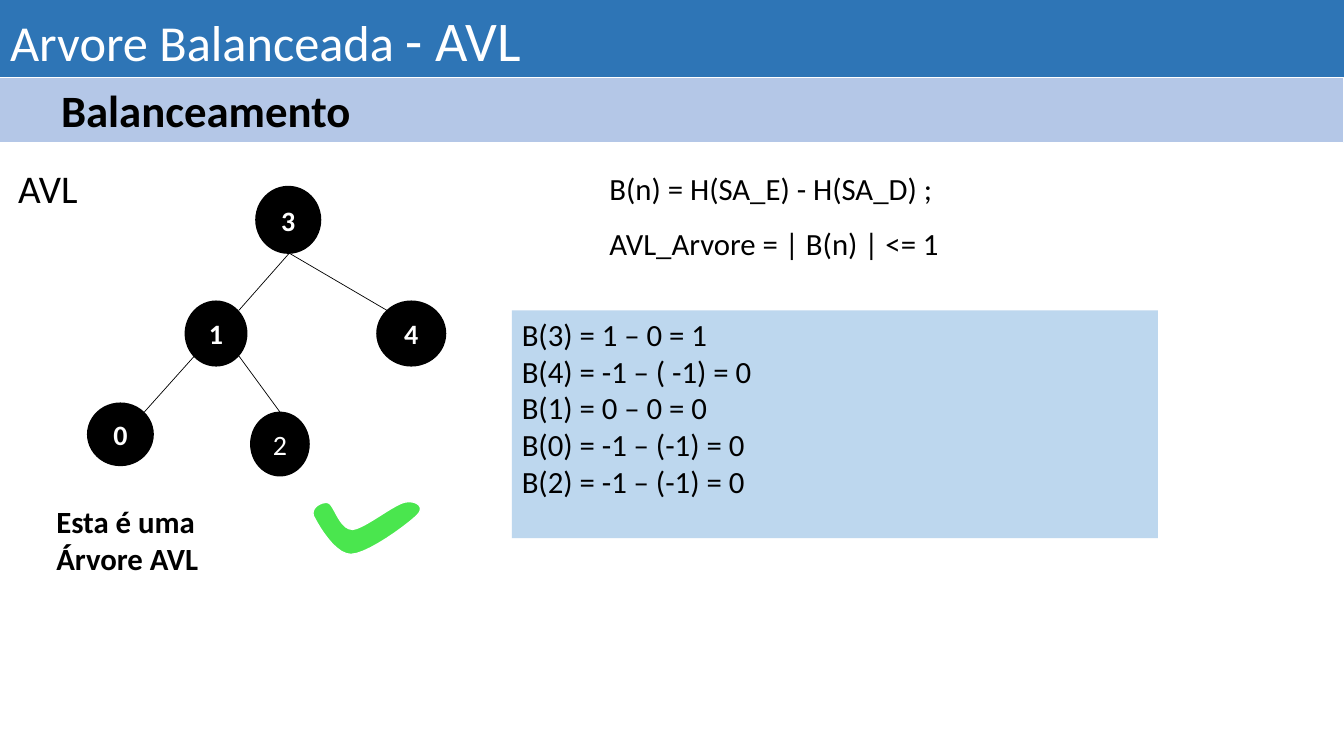
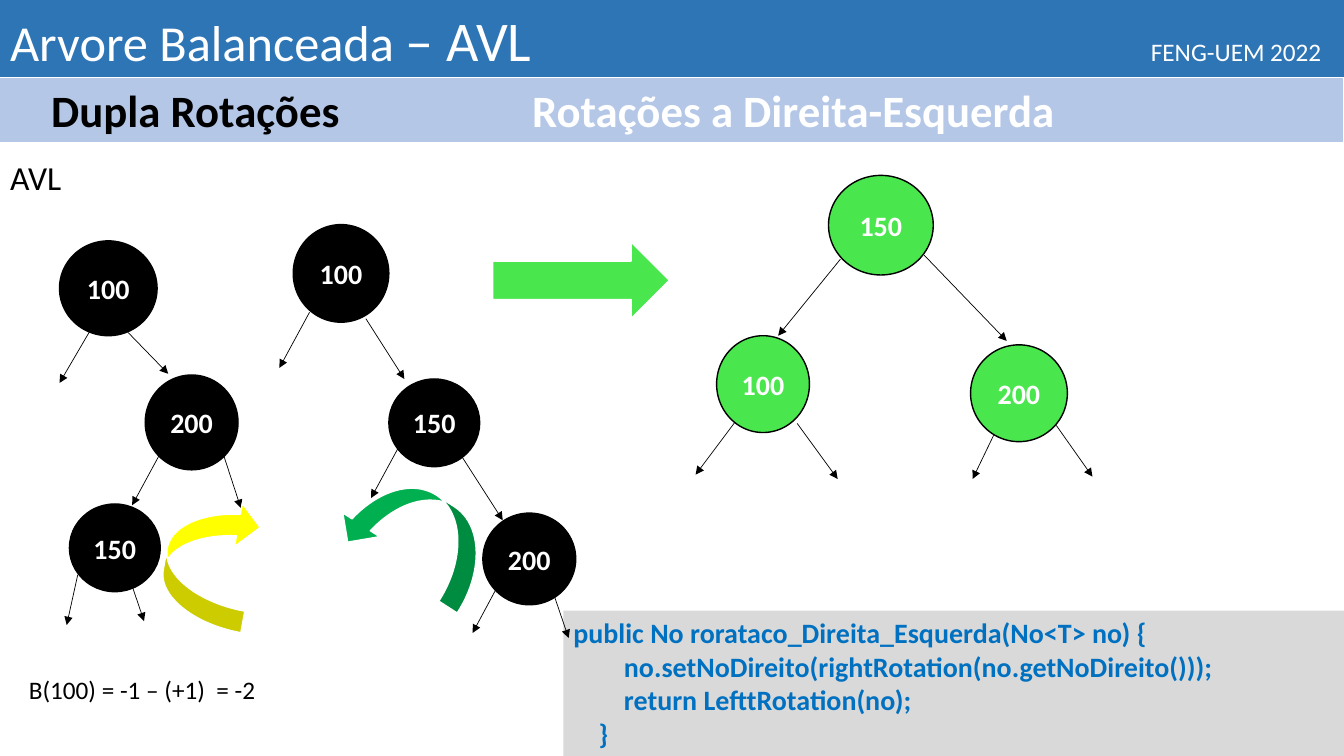
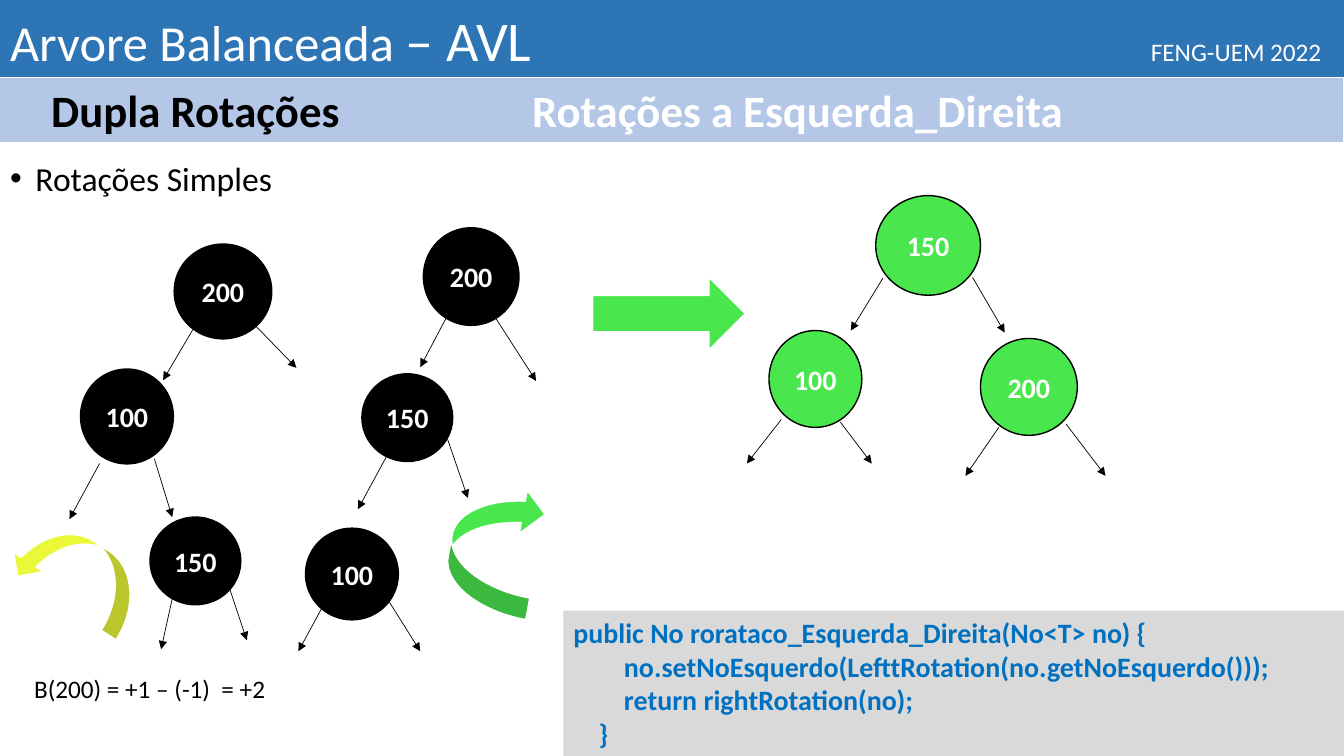
"""Builds three slides about balancing and double rotations in AVL trees."""
from lxml.etree import SubElement
from pptx import Presentation
from pptx.dml.color import RGBColor
from pptx.enum.shapes import MSO_CONNECTOR as LINE, MSO_SHAPE as SHAPE
from pptx.enum.text import MSO_ANCHOR as ANCHOR, MSO_AUTO_SIZE as FIT, PP_ALIGN as ALIGN
from pptx.oxml.ns import qn
from pptx.util import Cm, Pt

FONT = "Calibri"
C = {"black": "000000", "white": "FFFFFF", "title": "2E75B6", "band": "B4C7E7",
     "panel": "BDD7EE", "code_bg": "D9D9D9", "code": "0070C0", "lime": "4AE64E",
     "green": "00B050", "yellow": "FFFF00", "lemon": "EAF838"}
SLIDE_W, SLIDE_H = 33.87, 19.05
TITLE_H, BAND_H = 1.96, 1.64
CODE_X, CODE_Y = 14.2, 15.39
FOOTER = "FENG-UEM 2022"
FOOTER_TAB, TOPIC_TAB = 28.75, 12.12

BALANCE_NODES = [
    ("3", (6.45, 4.7, 1.63, 1.68), True, [(7.29, 6.38, 6.02, 7.82), (7.29, 6.38, 9.75, 7.82)]),
    ("1", (4.67, 7.59, 1.55, 1.63), True, [(4.9, 8.97, 3.63, 10.39), (6.02, 8.97, 7.06, 10.39)]),
    ("0", (2.21, 10.16, 1.65, 1.57), True, []),
    ("2", (6.32, 10.39, 1.47, 1.6), False, []),
    ("4", (9.5, 7.59, 1.73, 1.63), True, []),
]
FORMULAS = ["B(n) = H(SA_E) - H(SA_D) ;", "AVL_Arvore = | B(n) | <= 1"]
FACTORS = ["B(3) = 1 – 0 = 1", "B(4) = -1 – ( -1) = 0", "B(1) = 0 – 0 = 0",
           "B(0) = -1 – (-1) = 0", "B(2) = -1 – (-1) = 0"]
CHECK_START = (7.9, 13)
CHECK_CURVES = [
    ((7.82, 12.78), (8.13, 12.62), (8.28, 12.67)),
    ((8.43, 12.73), (8.56, 13.34), (8.89, 13.34)),
    ((9.19, 13.31), (9.93, 12.7), (10.21, 12.65)),
    ((10.46, 12.6), (10.74, 12.75), (10.52, 12.98)),
    ((10.29, 13.21), (9.27, 13.97), (8.84, 13.97)),
    ((8.43, 13.97), (8, 13.21), CHECK_START),
]

TREE_STYLES = [
    ("black", [(2.46, 2.39), (2.34, 2.39), (2.29, 2.21)]),
    ("black", [(2.41, 2.46), (2.29, 2.21), (2.34, 2.31)]),
    ("lime", [(2.64, 2.51), (2.34, 2.44), (2.44, 2.44)]),
]
ROTATIONS = [
    {
        "topic": "Rotações a Direita-Esquerda",
        "body": ("AVL", 3.94, False),
        "caption": ("B(100) = -1 – (+1)  = -2", 0.48, 16.87),
        "code": ["public No rorataco_Direita_Esquerda(No<T> no) {",
                 "        no.setNoDireito(rightRotation(no.getNoDireito()));",
                 "        return LefttRotation(no);",
                 "    }"],
        "trees": [
            [("100", 1.5, 6.07, [(2.36, 8.18, 1.5, 9.65), (3.23, 8.38, 4.24, 9.42)]),
             ("200", 3.66, 9.45, [(4.09, 11.33, 3.33, 12.73), (5.59, 11.33, 6.07, 12.8)]),
             ("150", 1.75, 12.7, [(1.96, 14.48, 1.68, 15.75), (3.12, 14.15, 3.63, 15.65)])],
            [("100", 7.39, 5.66, [(7.8, 7.87, 7.04, 9.27), (9.22, 8.03, 10.19, 9.55)]),
             ("150", 9.8, 9.55, [(10.11, 11.15, 9.35, 12.55), (11.61, 11.46, 12.67, 13.11)]),
             ("200", 12.17, 12.93, [(12.67, 14.53, 11.91, 15.95), (13.82, 14.58, 14.33, 16.08)])],
            [("150", 20.88, 4.42, [(21.18, 6.53, 19.61, 8.46), (23.29, 6.43, 25.37, 8.59)]),
             ("100", 18.06, 8.46, [(18.52, 10.64, 17.53, 11.96), (20.09, 10.67, 21.11, 12.07)]),
             ("200", 24.46, 8.69, [(25.04, 10.97, 24.51, 12.07), (26.62, 10.72, 27.53, 12.01)])],
        ],
        "turns": [(SHAPE.RIGHT_ARROW, (12.42, 6.1, 4.45, 1.93), 0, "lime"),
                  (SHAPE.CURVED_UP_ARROW, (8.59, 12.37, 3.84, 2.21), 212.9, "green"),
                  (SHAPE.CURVED_LEFT_ARROW, (4.17, 12.52, 2.21, 3.25), 190.4, "yellow")],
    },
    {
        "topic": "Rotações a Esquerda_Direita",
        "body": ("Rotações Simples", 3.96, True),
        "caption": ("B(200) = +1 – (-1)  = +2", 0.61, 16.84),
        "code": ["public No rorataco_Esquerda_Direita(No<T> no) {",
                 "        no.setNoEsquerdo(LefttRotation(no.getNoEsquerdo()));",
                 "        return rightRotation(no);",
                 "    }"],
        "trees": [
            [("200", 4.39, 6.15, [(4.98, 8.1, 4.11, 9.58), (6.43, 8.2, 7.47, 9.27)]),
             ("100", 2.03, 9.3, [(2.51, 11.68, 1.75, 13.08), (3.89, 11.56, 4.34, 13.03)]),
             ("150", 3.78, 13.03, [(4.34, 15.09, 4.06, 16.36), (5.72, 14.63, 6.22, 16.13)])],
            [("200", 10.67, 5.74, [(11.33, 7.85, 10.59, 9.25), (12.45, 7.95, 13.51, 9.6)]),
             ("150", 9.12, 9.42, [(9.78, 11.43, 9.02, 12.83), (11.28, 11.07, 11.79, 12.55)]),
             ("100", 7.7, 13.31, [(8.28, 15.01, 7.52, 16.41), (9.63, 14.88, 10.59, 16.41)])],
            [("150", 22.07, 4.93, [(22.25, 7.01, 21.44, 8.33), (24.51, 6.99, 25.32, 8.38)]),
             ("100", 19.38, 8.33, [(19.69, 10.57, 18.82, 11.68), (21.18, 10.64, 21.97, 11.68)]),
             ("200", 24.71, 8.53, [(25.17, 10.77, 24.33, 11.99), (26.87, 10.69, 27.86, 11.99)])],
        ],
        "turns": [(SHAPE.RIGHT_ARROW, (14.94, 6.99, 3.84, 1.83), 0, "lime"),
                  (SHAPE.CURVED_UP_ARROW, (0.28, 13.56, 3.4, 1.78), 212.9, "lemon"),
                  (SHAPE.CURVED_LEFT_ARROW, (11.35, 12.19, 2.21, 3.25), 190.4, "lime")],
    },
]


def rgb(name):
    return RGBColor.from_string(C[name])


def write(sp, paragraphs, size=18, color="black", bold=False, align=ALIGN.LEFT,
          anchor=ANCHOR.TOP, spacing=1.0, tab=None, bullet=None, wrap=True):
    tf = sp.text_frame
    tf.auto_size, tf.word_wrap, tf.vertical_anchor = FIT.NONE, wrap, anchor
    for i, runs in enumerate(paragraphs):
        p = tf.add_paragraph() if i else tf.paragraphs[0]
        p.alignment, p.line_spacing, p.space_before = align, spacing, Pt(0)
        pPr = p._p.get_or_add_pPr()
        if bullet is not None:
            indent = Cm(0.64) if bullet else 0
            pPr.set("marL", str(indent))
            pPr.set("indent", str(-indent))
            if bullet:
                SubElement(pPr, qn("a:buChar"), char="•")
            else:
                SubElement(pPr, qn("a:buNone"))
        if tab:
            tabs = SubElement(pPr, qn("a:tabLst"))
            SubElement(tabs, qn("a:tab"), pos=str(Cm(tab)), algn="l")
        for text, changes in [(runs, {})] if isinstance(runs, str) else runs:
            r = p.add_run()
            r.text = text
            r.font.name, r.font.bold = FONT, bold
            r.font.size = Pt(changes.get("size", size))
            r.font.color.rgb = rgb(changes.get("color", color))


def place(sp, box):
    sp.left, sp.top, sp.width, sp.height = map(Cm, box)


def paint(sp, fill, line=None, width=1):
    sp.fill.solid()
    sp.fill.fore_color.rgb = rgb(fill)
    if line:
        sp.line.color.rgb = rgb(line)
        sp.line.width = Pt(width)
    else:
        sp.line.fill.background()


def add_shape(s, kind, box, fill, line=None, width=1):
    sp = s.shapes.add_shape(kind, *map(Cm, box))
    sp.shadow.inherit = False
    paint(sp, fill, line, width)
    return sp


def add_text(s, box, paragraphs, **fmt):
    write(s.shapes.add_textbox(*map(Cm, box)), paragraphs, **fmt)


def add_edge(s, ends, arrow):
    c = s.shapes.add_connector(LINE.STRAIGHT, *map(Cm, ends))
    c.line.color.rgb = rgb("black")
    c.line.width = Pt(0.5)
    spPr = c._element.spPr
    if arrow:
        SubElement(spPr.find(qn("a:ln")), qn("a:tailEnd"), type="triangle")
    SubElement(spPr, qn("a:effectLst"))


def add_node(s, label, box, edges, fill="black", bold=True, arrow=True):
    sp = add_shape(s, SHAPE.OVAL, box, fill, "black")
    write(sp, [label], size=20, color="white", bold=bold, align=ALIGN.CENTER,
          anchor=ANCHOR.MIDDLE, wrap=False)
    for ends in edges:
        add_edge(s, ends, arrow)


def add_check(s):
    points, start = [], CHECK_START
    for a, b, end in CHECK_CURVES:
        for t in (i / 10 for i in range(1, 11)):
            u = 1 - t
            points.append(tuple(Cm(u**3 * p + 3 * u * u * t * q + 3 * u * t * t * v + t**3 * w)
                                for p, q, v, w in zip(start, a, b, end)))
        start = end
    builder = s.shapes.build_freeform(*map(Cm, CHECK_START))
    builder.add_line_segments(points, close=True)
    sp = builder.convert_to_shape()
    sp.shadow.inherit = False
    paint(sp, "lime", "white")


def new_slide(prs, title, band, band_margin, body, body_box, body_size, bullet=False):
    s = prs.slides.add_slide(prs.slide_layouts[1])
    place(s.shapes.title, (0, 0, SLIDE_W, TITLE_H))
    paint(s.shapes.title, "title")
    write(s.shapes.title, [title], size=36, color="white", tab=FOOTER_TAB)
    sp = add_shape(s, SHAPE.RECTANGLE, (0, TITLE_H, SLIDE_W, BAND_H), "band", "white", 0.75)
    sp.text_frame.margin_left = Cm(band_margin)
    write(sp, [band], size=32, bold=True, tab=TOPIC_TAB)
    place(s.placeholders[1], body_box)
    write(s.placeholders[1], [body], size=body_size, spacing=0.9, bullet=bullet)
    return s


def balance_slide(prs):
    title = [("Arvore Balanceada ", {}), ("- AVL", {"size": 40})]
    s = new_slide(prs, title, "Balanceamento", 1.54, "AVL", (0.2, 4.14, 29.67, 14.43), 28)
    for label, box, bold, edges in BALANCE_NODES:
        add_node(s, label, box, edges, bold=bold, arrow=False)
    add_text(s, (15.11, 3.68, 18.5, 2.92), FORMULAS, size=22, spacing=1.5)
    panel = add_shape(s, SHAPE.RECTANGLE, (12.9, 7.82, 16.28, 5.74), "panel")
    write(panel, FACTORS, size=22)
    add_check(s)
    add_text(s, (1.17, 12.55, 5.6, 2.13), ["Esta é uma Árvore AVL"], size=22, bold=True)


def rotation_slide(prs, topic, body, caption, code, trees, turns):
    title = [("Arvore Balanceada ", {}), ("– AVL", {"size": 40}), ("\t" + FOOTER, {"size": 18})]
    band = [("Dupla Rotações", {}), ("\t" + topic, {"color": "white"})]
    text, top, bullet = body
    s = new_slide(prs, title, band, 1.29, text, (0, top, 31.55, 13.23), 24, bullet)
    panel = add_shape(s, SHAPE.RECTANGLE,
                      (CODE_X, CODE_Y, SLIDE_W - CODE_X, SLIDE_H - CODE_Y), "code_bg")
    write(panel, code, size=20, color="code", bold=True)
    text, x, y = caption
    add_text(s, (x, y, 10.69, 1.02), [text])
    for (fill, sizes), nodes in zip(TREE_STYLES, trees):
        for size, (label, x, y, edges) in zip(sizes, nodes):
            add_node(s, label, (x, y, *size), edges, fill)
    for kind, box, angle, fill in turns:
        add_shape(s, kind, box, fill, "white").rotation = angle


def main():
    prs = Presentation()
    prs.slide_width, prs.slide_height = Cm(SLIDE_W), Cm(SLIDE_H)
    balance_slide(prs)
    for rotation in ROTATIONS:
        rotation_slide(prs, **rotation)
    prs.save("out.pptx")


if __name__ == "__main__":
    main()
